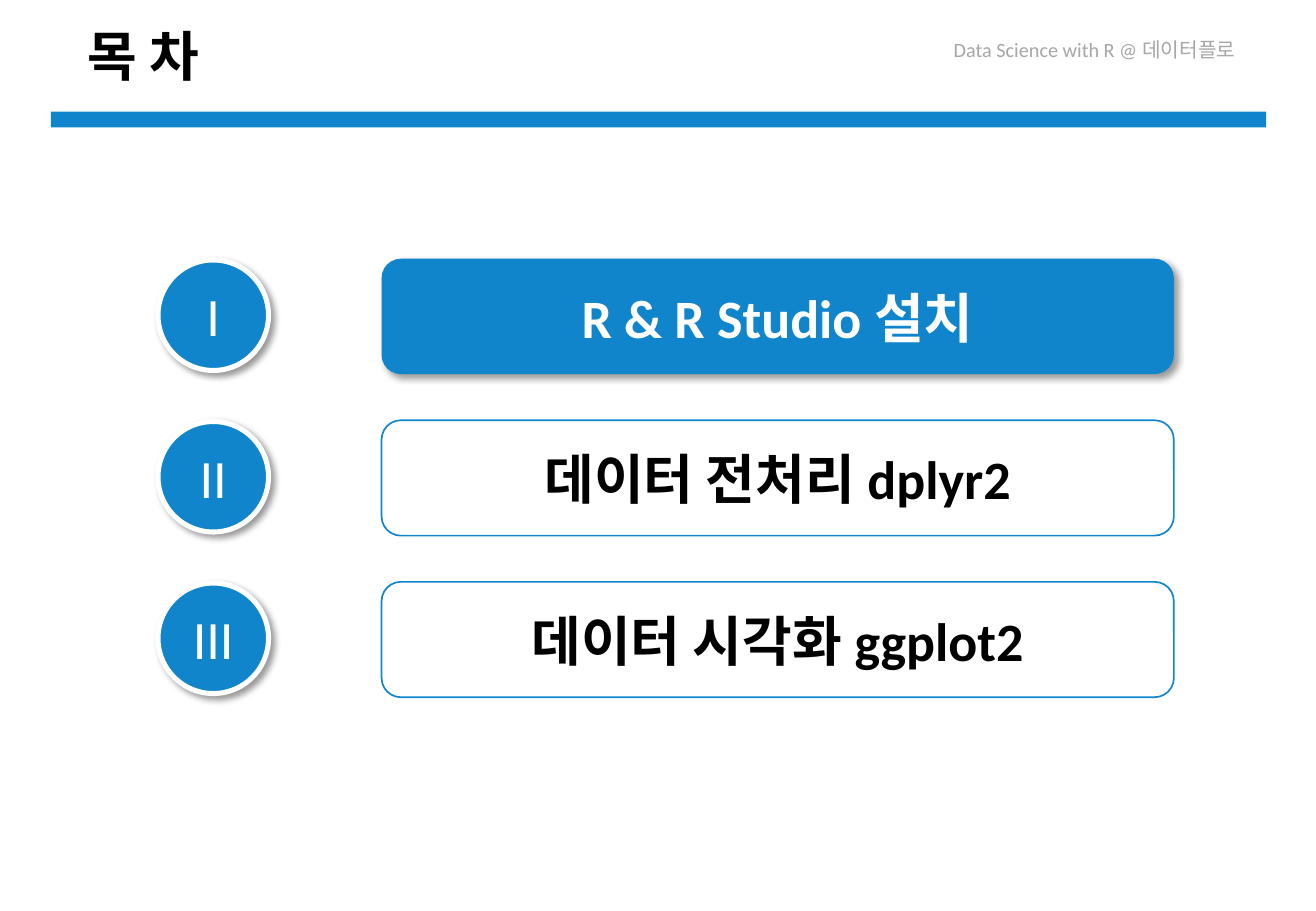
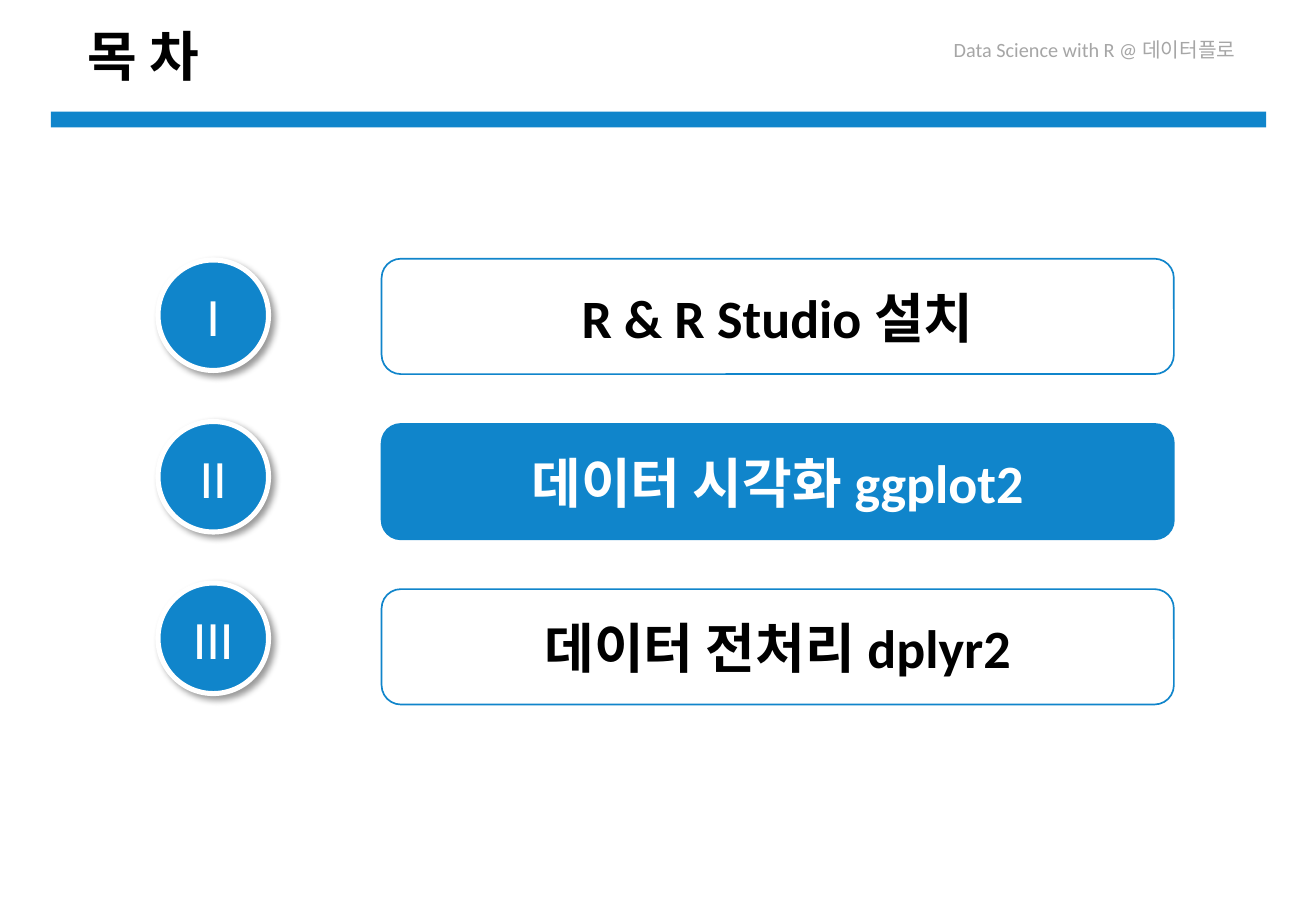
from lxml.etree import SubElement
from pptx import Presentation
from pptx.dml.color import RGBColor
from pptx.enum.shapes import MSO_SHAPE as Shape
from pptx.enum.text import MSO_ANCHOR as Anchor, MSO_AUTO_SIZE as AutoSize, PP_ALIGN as Align
from pptx.oxml import parse_xml
from pptx.oxml.ns import nsdecls, qn
from pptx.util import Inches, Pt

BLUE = RGBColor(0x10, 0x85, 0xCB)
WHITE = RGBColor(0xFF, 0xFF, 0xFF)
BLACK = RGBColor(0x00, 0x00, 0x00)
GRAY = RGBColor(0xA6, 0xA6, 0xA6)
LATIN_FONT = "Calibri"
KOREAN_FONT = "Noto Sans CJK KR"
HEADING = {"name": KOREAN_FONT, "size": Pt(32), "bold": True}
TOPIC = {"name": LATIN_FONT, "size": Pt(32), "bold": True}
NUMERAL = {"name": LATIN_FONT, "size": Pt(32), "bold": False}
CREDIT = {"name": LATIN_FONT, "size": Pt(12), "bold": False}

NUMERALS = ("I", "II", "III")
INSTALL = "R & R Studio 설치"
PREPARE = "데이터 전처리 dplyr2"
VISUALIZE = "데이터 시각화 ggplot2"
AGENDAS = (
    {"topics": (INSTALL, PREPARE, VISUALIZE), "current": INSTALL, "pitch": 1.33, "raised": True},
    {"topics": (INSTALL, VISUALIZE, PREPARE), "current": VISUALIZE, "pitch": 1.36, "raised": False},
)


def write(frame, text, style, color, align=Align.LEFT):
    """Fill a text frame with one styled paragraph."""
    paragraph = frame.paragraphs[0]
    paragraph.alignment = align
    run = paragraph.add_run()
    run.text = text
    for attribute, value in style.items():
        setattr(run.font, attribute, value)
    run.font.color.rgb = color
    SubElement(run.font._element, qn("a:ea"), typeface=KOREAN_FONT)
    return paragraph


def cast_shadow(shape):
    """Give a shape a soft shadow towards the lower right."""
    shape.shadow.inherit = False
    effects = shape._element.spPr.find(qn("a:effectLst"))
    effects.append(parse_xml(
        f'<a:outerShdw {nsdecls("a")} blurRad="{Pt(4)}" dist="{Pt(3)}" dir="2700000" '
        'algn="tl" rotWithShape="0"><a:srgbClr val="000000">'
        '<a:alpha val="40000"/></a:srgbClr></a:outerShdw>'))


def add_panel(slide, kind, box, fill=None, line=None, line_width=1, raised=False):
    """Add a preset shape with the given fill, outline and shadow."""
    panel = slide.shapes.add_shape(kind, *map(Inches, box))
    panel.shadow.inherit = False
    if fill is None:
        panel.fill.background()
    else:
        panel.fill.solid()
        panel.fill.fore_color.rgb = fill
    if line is None:
        panel.line.fill.background()
    else:
        panel.line.color.rgb = line
        panel.line.width = Pt(line_width)
    if raised:
        cast_shadow(panel)
    panel.text_frame.vertical_anchor = Anchor.MIDDLE
    return panel


def furnish_layout(layout, slide):
    """Build the band and credit, and move them to the shared layout."""
    band = add_panel(slide, Shape.RECTANGLE, (0.42, 0.92, 10, 0.13), fill=BLUE)
    credit = slide.shapes.add_textbox(*map(Inches, (7.75, 0.26, 2.61, 0.3)))
    credit.text_frame.word_wrap = False
    credit.text_frame.auto_size = AutoSize.SHAPE_TO_FIT_TEXT
    write(credit.text_frame, "Data Science with R @ 데이터플로", CREDIT, GRAY)
    for part in (band, credit):
        layout.shapes.element.append(part.element)


def place_title(slide, text, box):
    """Move the title placeholder into the box and write the heading."""
    title = slide.shapes.title
    title.left, title.top, title.width, title.height = map(Inches, box)
    title.text_frame.auto_size = AutoSize.NONE
    title.text_frame.vertical_anchor = Anchor.MIDDLE
    write(title.text_frame, text, HEADING, BLACK).line_spacing = 0.9


def add_numerals(slide, left, top, diameter, pitch):
    """Stack the numbered circles downwards."""
    for index, numeral in enumerate(NUMERALS):
        box = (left, top + index * pitch, diameter, diameter)
        circle = add_panel(slide, Shape.OVAL, box, BLUE, WHITE, 3, raised=True)
        write(circle.text_frame, numeral, NUMERAL, WHITE, Align.CENTER)


def add_topics(slide, box, topics, current, pitch, raised):
    """Stack the topic boxes from the first box, with the current one filled."""
    left, top, width, height = box
    for index, topic in enumerate(topics):
        active = topic == current
        lifted = active and raised
        topic_box = add_panel(
            slide, Shape.ROUNDED_RECTANGLE, (left, top + index * pitch, width, height),
            fill=BLUE if active else None, line=None if lifted else BLUE, raised=lifted)
        write(topic_box.text_frame, topic, TOPIC, WHITE if active else BLACK, Align.CENTER)


def main():
    """Build the agenda slides and save the deck."""
    deck = Presentation()
    deck.slide_width, deck.slide_height = Inches(10.83), Inches(7.5)
    layout = deck.slide_layouts[5]
    slides = [deck.slides.add_slide(layout) for _ in AGENDAS]
    furnish_layout(layout, slides[0])
    for slide, agenda in zip(slides, AGENDAS):
        place_title(slide, "목 차", (0.62, 0.23, 9.34, 0.51))
        add_numerals(slide, 1.3, 2.14, 0.91, 1.33)
        add_topics(slide, (3.14, 2.13, 6.52, 0.95), **agenda)
    deck.save("out.pptx")


if __name__ == "__main__":
    main()
